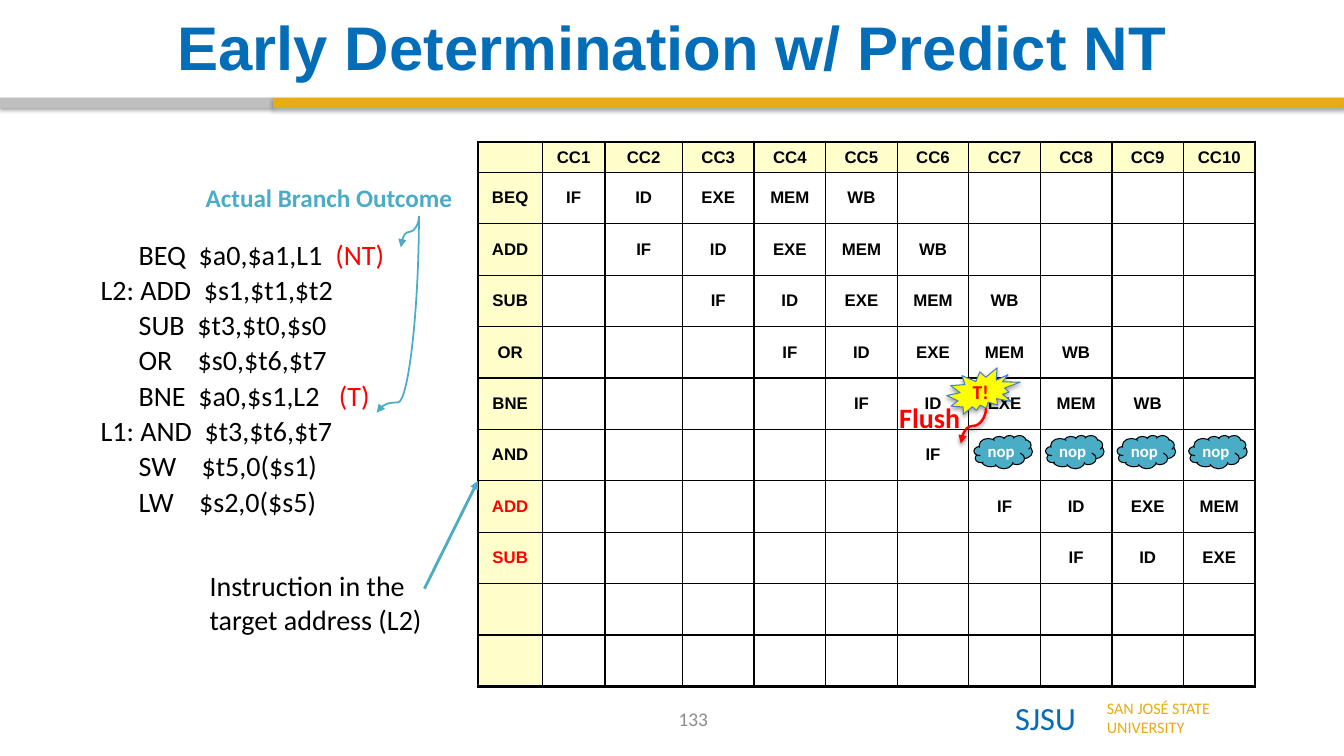
"""Builds the pipeline chart slide for early branch determination with predict not taken."""
from lxml import etree
from pptx import Presentation
from pptx.dml.color import RGBColor
from pptx.enum.shapes import MSO_CONNECTOR, MSO_SHAPE
from pptx.enum.text import MSO_ANCHOR, MSO_AUTO_SIZE, PP_ALIGN
from pptx.oxml.ns import qn
from pptx.util import Inches, Pt

STRAIGHT, CURVE = MSO_CONNECTOR.STRAIGHT, MSO_CONNECTOR.CURVE
RECTANGLE, CLOUD, BURST = MSO_SHAPE.RECTANGLE, MSO_SHAPE.CLOUD, MSO_SHAPE.EXPLOSION2
LEFT, CENTER = PP_ALIGN.LEFT, PP_ALIGN.CENTER
TOP, MIDDLE = MSO_ANCHOR.TOP, MSO_ANCHOR.MIDDLE
FIT_SHAPE = MSO_AUTO_SIZE.SHAPE_TO_FIT_TEXT

BLACK = RGBColor(0x00, 0x00, 0x00)
WHITE = RGBColor(0xFF, 0xFF, 0xFF)
RED = RGBColor(0xFF, 0x00, 0x00)
YELLOW = RGBColor(0xFF, 0xFF, 0x00)
CREAM = RGBColor(0xFF, 0xFF, 0xCC)
BLUE = RGBColor(0x03, 0x6D, 0xB7)
EDGE_BLUE = RGBColor(0x4B, 0x7E, 0xBC)
GOLD = RGBColor(0xE7, 0xAC, 0x11)
SILVER = RGBColor(0xBF, 0xBF, 0xBF)
GRAY = RGBColor(0x8C, 0x8C, 0x8C)
TEAL = RGBColor(0x4B, 0xAC, 0xC6)

STAGES = ["IF", "ID", "EXE", "MEM", "WB"]
INSTRUCTIONS = ["BEQ", "ADD", "SUB", "OR", "BNE", "AND", "ADD", "SUB", "", ""]
FLUSHED_ROW = 6
TARGET_ROWS = (7, 8)
COLUMN_WIDTHS = [0.64, 0.62, 0.77] + [0.71] * 8
ROW_HEIGHTS = [0.28] + [0.51] * 10
CODE = [
    ("      BEQ  $a0,$a1,L1  ", "(NT)"),
    ("L2: ADD  $s1,$t1,$t2",),
    ("      SUB  $t3,$t0,$s0",),
    ("      OR    $s0,$t6,$t7",),
    ("      BNE  $a0,$s1,L2   ", "(T)"),
    ("L1: AND  $t3,$t6,$t7",),
    ("      SW    $t5,0($s1)",),
    ("      LW    $s2,0($s5)",),
]


def stage_at(row, column):
    """Return the pipeline stage that an instruction row shows in a clock cycle."""
    step = column - row
    shown = 1 if row == FLUSHED_ROW else len(STAGES)
    return STAGES[step] if row <= TARGET_ROWS[-1] and 0 <= step < shown else ""


class SlidePainter:
    """Holds the text style and the current page."""

    def __init__(self, page, font="Calibri"):
        """Keep the page and its main font."""
        self.page = page
        self.font = font

    def style(self, span, size, color, bold=False, font=None):
        """Format one run."""
        span.font.name = font or self.font
        span.font.size = Pt(size)
        span.font.bold = bold
        span.font.color.rgb = color

    def text(self, place, words, size, color, bold=False, font=None,
             align=LEFT, anchor=TOP, wrap=False):
        """Add a text box with one style."""
        box = self.page.shapes.add_textbox(*map(Inches, place))
        frame = box.text_frame
        frame.text = words
        frame.word_wrap = wrap
        frame.vertical_anchor = anchor
        if not wrap:
            frame.auto_size = FIT_SHAPE
        for para in frame.paragraphs:
            para.alignment = align
            for span in para.runs:
                self.style(span, size, color, bold, font)

    def code(self, place, lines, size):
        """Add code lines whose branch outcomes are red."""
        frame = self.page.shapes.add_textbox(*map(Inches, place)).text_frame
        frame.word_wrap = True
        for index, pieces in enumerate(lines):
            para = frame.add_paragraph() if index else frame.paragraphs[0]
            para.line_spacing = 0.9
            if index:
                para.space_before = Pt(3.6)
            for piece, color in zip(pieces, (BLACK, RED)):
                span = para.add_run()
                span.text = piece
                self.style(span, size, color)

    def shadow(self, effects, opacity):
        """Fill an effect list with a soft shadow below."""
        outer = etree.SubElement(effects, qn("a:outerShdw"), blurRad=str(Pt(3.1)),
                                 dist=str(Pt(1.8)), dir="5400000", rotWithShape="0")
        color = etree.SubElement(outer, qn("a:srgbClr"), val=str(BLACK))
        etree.SubElement(color, qn("a:alpha"), val=str(opacity * 1000))

    def shape(self, kind, place, fill, line=None, shadow=False,
              words="", size=12, color=WHITE, inset=0):
        """Add a filled shape with an optional bold label."""
        shape = self.page.shapes.add_shape(kind, *map(Inches, place))
        shape.fill.solid()
        shape.fill.fore_color.rgb = fill
        if line is None:
            shape.line.fill.background()
        else:
            shape.line.color.rgb = line
            shape.line.width = Pt(0.75)
        shape.shadow.inherit = False
        if shadow:
            self.shadow(shape._element.spPr.find(qn("a:effectLst")), 35)
        if words:
            frame = shape.text_frame
            frame.text = words
            frame.vertical_anchor = MIDDLE
            frame.margin_left = frame.margin_right = 0
            frame.margin_top = frame.margin_bottom = Inches(inset)
            frame.paragraphs[0].alignment = CENTER
            self.style(frame.paragraphs[0].runs[0], size, color, True)

    def arrow(self, kind, start, end, color, width, shadow=False):
        """Add a connector with an arrowhead at its end."""
        line = self.page.shapes.add_connector(kind, *map(Inches, start + end))
        line.line.color.rgb = color
        line.line.width = Pt(width)
        properties = line._element.spPr
        etree.SubElement(properties.find(qn("a:ln")), qn("a:tailEnd"), type="triangle")
        effects = etree.SubElement(properties, qn("a:effectLst"))
        if shadow:
            self.shadow(effects, 38)
        return properties

    def drop_curve(self, place, color, width, bend=0.5, shadow=False):
        """Add a curved arrow turned to run from upper right to lower left."""
        left, top, length, depth = place
        properties = self.arrow(CURVE, (left, top), (left + length, top + depth),
                                color, width, shadow)
        properties.find(qn("a:xfrm")).set("rot", "5400000")
        geometry = properties.find(qn("a:prstGeom"))
        geometry.set("prst", "curvedConnector3")
        guides = geometry.find(qn("a:avLst"))
        if guides is None:
            guides = etree.SubElement(geometry, qn("a:avLst"))
        etree.SubElement(guides, qn("a:gd"), name="adj1", fmla=f"val {round(bend * 100000)}")

    def cell(self, cell, words, color, fill, borders):
        """Fill one table cell with its text, borders and colour."""
        properties = cell._tc.get_or_add_tcPr()
        for side, width in zip("LRTB", borders):
            edge = etree.SubElement(properties, qn(f"a:ln{side}"), w=str(Pt(width)))
            solid = etree.SubElement(edge, qn("a:solidFill"))
            etree.SubElement(solid, qn("a:srgbClr"), val=str(BLACK))
        if fill is None:
            cell.fill.background()
        else:
            cell.fill.solid()
            cell.fill.fore_color.rgb = fill
        cell.vertical_anchor = MIDDLE
        para = cell.text_frame.paragraphs[0]
        para.alignment = CENTER
        if words:
            para.text = words
            self.style(para.runs[0], 12, color, True, "Arial")
        else:
            etree.SubElement(para._p, qn("a:endParaRPr"), sz="1200")

    def pipeline(self, left, top):
        """Add the table of instructions against clock cycles."""
        rows, columns = len(ROW_HEIGHTS), len(COLUMN_WIDTHS)
        table = self.page.shapes.add_table(
            rows, columns, Inches(left), Inches(top),
            Inches(sum(COLUMN_WIDTHS)), Inches(sum(ROW_HEIGHTS))).table
        table.first_row = table.horz_banding = False
        for column, width in zip(table.columns, COLUMN_WIDTHS):
            column.width = Inches(width)
        for row, height in enumerate(ROW_HEIGHTS):
            table.rows[row].height = Inches(height)
            for column in range(columns):
                if row == 0:
                    words = f"CC{column}" if column else ""
                else:
                    words = stage_at(row, column) if column else INSTRUCTIONS[row - 1]
                color = RED if column == 0 and row in TARGET_ROWS else BLACK
                fill = CREAM if row == 0 or column == 0 else None
                borders = (2.25 if column == 0 else 1, 1,
                           2.25 if row == 0 else 1, 2.25 if row == rows - 1 else 1)
                self.cell(table.cell(row, column), words, color, fill, borders)


def main():
    """Draw the slide and save it."""
    deck = Presentation()
    deck.slide_width, deck.slide_height = Inches(13.33), Inches(7.5)
    painter = SlidePainter(deck.slides.add_slide(deck.slide_layouts[6]))

    painter.text((9.97, 6.88, 0.81, 0.49), "SJSU", 23.1, BLUE)
    painter.text((10.88, 6.88, 1.26, 0.49), "SAN JOSÉ STATE\nUNIVERSITY", 11.5, GOLD)
    painter.shape(RECTANGLE, (0, 0.97, 2.71, 0.1), SILVER, shadow=True)
    painter.shape(RECTANGLE, (2.71, 0.97, 10.62, 0.1), GOLD, shadow=True)
    painter.text((0.67, 0.08, 12, 0.76), "Early Determination w/ Predict NT", 44, BLUE,
                 True, "Arial", CENTER, MIDDLE, True)
    painter.text((5.32, 6.93, 3.11, 0.4), "133", 13.8, GRAY,
                 align=CENTER, anchor=MIDDLE, wrap=True)

    painter.pipeline(4.74, 1.41)
    painter.code((0.9, 2.34, 4.75, 1.75), CODE, 20)
    painter.text((1.94, 1.76, 2.67, 0.4), "Actual Branch Outcome", 18, TEAL, True)
    painter.drop_curve((3.91, 2.21, 0.31, 0.18), TEAL, 1.25)
    painter.drop_curve((2.97, 2.91, 1.95, 0.42), TEAL, 1.25, bend=0.948)
    painter.text((1.98, 5.59, 2.41, 0.8), "Instruction in the\ntarget address (L2)", 20, BLACK)
    painter.arrow(STRAIGHT, (4.21, 5.84), (4.74, 4.77), TEAL, 2)

    painter.shape(BURST, (9.39, 3.65, 0.73, 0.46), YELLOW, EDGE_BLUE, True, "T!", 14, RED)
    painter.drop_curve((9.48, 4.1, 0.35, 0.25), RED, 1.75, shadow=True)
    painter.text((8.82, 3.92, 0.82, 0.45), "Flush", 20, RED, True)
    for bubble in range(4):
        painter.shape(CLOUD, (9.66 + 0.71 * bubble, 4.32, 0.58, 0.33), TEAL, BLACK,
                      words="nop", inset=0.05)
    deck.save("out.pptx")


if __name__ == "__main__":
    main()
